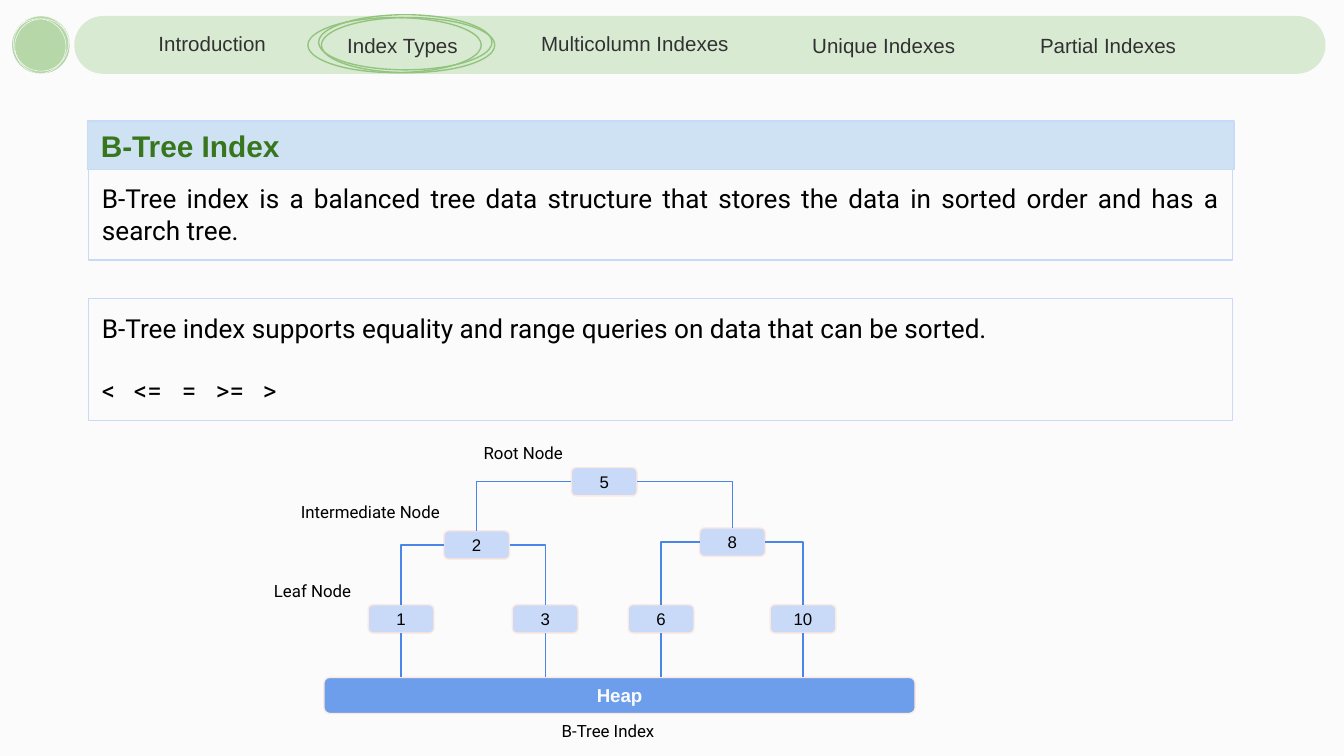
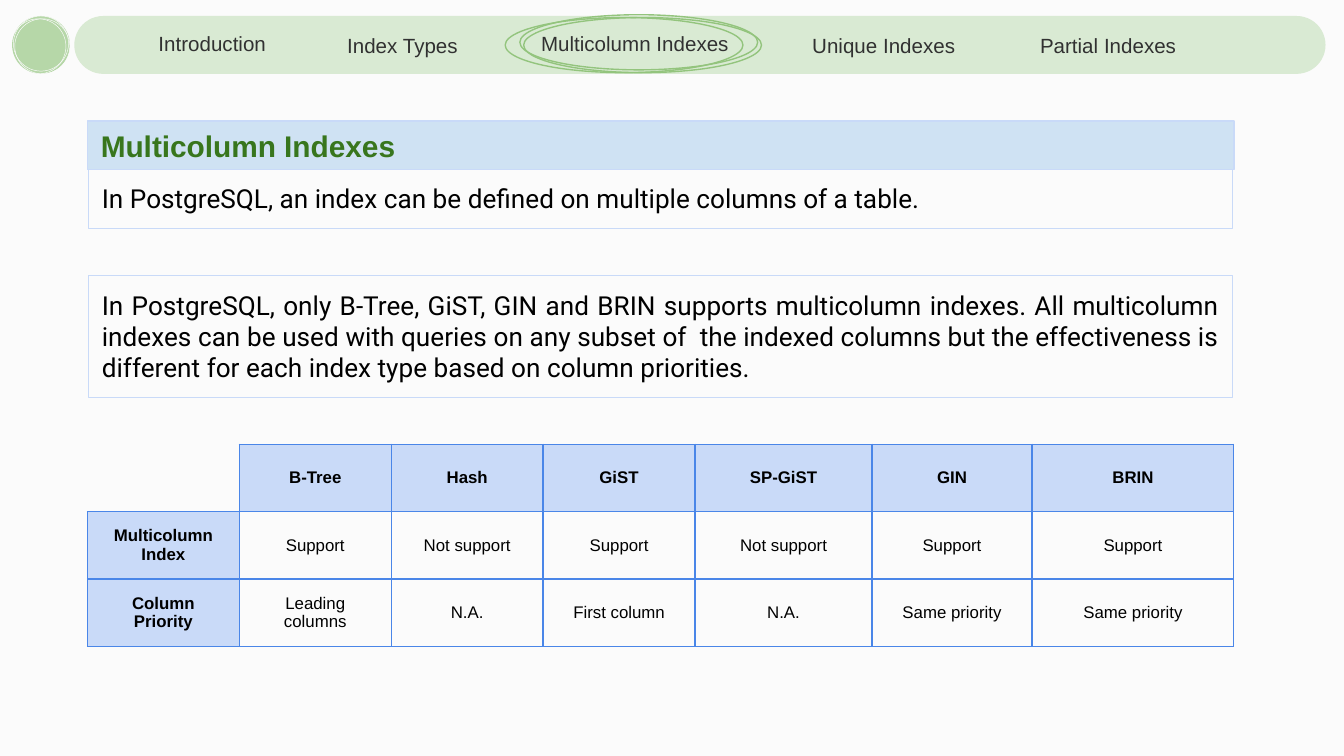
from dataclasses import dataclass

from lxml.etree import SubElement
from pptx import Presentation
from pptx.dml.color import RGBColor
from pptx.enum.shapes import MSO_CONNECTOR as Link, MSO_SHAPE as Shape
from pptx.enum.text import MSO_ANCHOR as Anchor, MSO_AUTO_SIZE as AutoSize, PP_ALIGN as Align
from pptx.oxml.ns import qn
from pptx.util import Pt


@dataclass(frozen=True)
class Theme:
    page: str = "FBFBFB"
    band: str = "D9EAD3"
    disc: str = "B6D7A8"
    ring: str = "93C47D"
    tab_ink: str = "313131"
    title_fill: str = "CFE2F3"
    title_ink: str = "38761D"
    pale_blue: str = "C9DAF8"
    line_blue: str = "4A86E8"
    heap: str = "6D9EEB"
    node_edge: str = "FDE9E1"
    ink: str = "000000"
    sans: str = "Arial"
    body_font: str = "Roboto"
    title_size: float = 16
    body_size: float = 14
    tab_size: float = 11
    heap_size: float = 10
    small_size: float = 9
    stroke: float = 0.75
    inset: float = 7.2


T = Theme()

CONTENT = (46.8, 64.8, 614.3)  # left, top, width shared by title, text and table
TITLE_HEIGHT = 25.9

# Navigation tabs: label, left, top, width, alignment
TABS = [
    ("Introduction", 77.8, 15.8, 114.5, Align.LEFT),
    ("Index Types", 169.2, 16.6, 92.9, Align.CENTER),
    ("Multicolumn Indexes", 276.5, 15.8, 127.4, Align.CENTER),
    ("Unique Indexes", 416.2, 16.6, 114.5, Align.CENTER),
    ("Partial Indexes", 536.4, 16.6, 114.5, Align.CENTER),
]

# Tree nodes: centre relative to the tree's box, then the parent key
NODES = {
    "5": (150.2, 29.1, None),
    "2": (81.9, 63, "5"),
    "8": (218.9, 61.5, "5"),
    "1": (41.4, 102.6, "2"),
    "3": (118.6, 102.6, "2"),
    "6": (180.7, 102.6, "8"),
    "10": (256.7, 102.6, "8"),
}
LEAVES = ("1", "3", "6", "10")
NODE_SIZE = (35.2, 15.2)
TREE_LABELS = [
    ("Root Node", 78.5, 0.7),
    ("Intermediate Node", -19.4, 32.4),
    ("Leaf Node", -33.8, 74.8),
    ("B-Tree Index", 120.3, 149.7),
]

SUPPORT = [
    ("", "B-Tree", "Hash", "GiST", "SP-GiST", "GIN", "BRIN"),
    ("Multicolumn Index", "Support", "Not support", "Support", "Not support", "Support", "Support"),
    ("Column Priority", "Leading columns", "N.A.", "First column", "N.A.",
     "Same priority", "Same priority"),
]
SUPPORT_WIDTHS = [81.4] * 4 + [94.8, 85.7, 108.2]
SUPPORT_ROW = 36.1


def rgb(code):
    return RGBColor.from_string(code)


def points(*lengths):
    return [Pt(length) for length in lengths]


def paint(shape, fill=None, line=None, width=T.stroke):
    shape.shadow.inherit = False
    if fill:
        shape.fill.solid()
        shape.fill.fore_color.rgb = rgb(fill)
    else:
        shape.fill.background()
    if line:
        shape.line.color.rgb = rgb(line)
        shape.line.width = Pt(width)
    else:
        shape.line.fill.background()


def draw(slide, preset, box, fill=None, line=None, width=T.stroke, corner=None):
    shape = slide.shapes.add_shape(preset, *points(*box))
    paint(shape, fill, line, width)
    if corner is not None:
        shape.adjustments[0] = corner
    return shape


def set_font(paragraph, size, color, face, bold=False, align=Align.LEFT):
    paragraph.alignment = align
    font = paragraph.font
    font.name, font.size, font.bold = face, Pt(size), bold
    font.color.rgb = rgb(color)


def set_frame(shape, anchor=Anchor.MIDDLE, vertical=0.0, right=T.inset):
    frame = shape.text_frame
    frame.word_wrap = True
    frame.auto_size = AutoSize.NONE
    frame.vertical_anchor = anchor
    frame.margin_left, frame.margin_right = points(T.inset, right)
    frame.margin_top = frame.margin_bottom = Pt(vertical)
    return frame


def write(shape, text, size, color, face, bold=False, align=Align.LEFT, **frame_options):
    paragraph = set_frame(shape, **frame_options).paragraphs[0]
    paragraph.text = text
    set_font(paragraph, size, color, face, bold, align)


def join(slide, kind, start, start_side, end_point=None, end=None):
    """Draw a tree line from a node's side to another node's top or to a point."""
    link = slide.shapes.add_connector(kind, 0, 0, *points(*(end_point or (0, 0))))
    link.begin_connect(start, start_side)
    if end is not None:
        link.end_connect(end, 0)
    link.line.color.rgb = rgb(T.line_blue)
    link.line.width = Pt(T.stroke)
    properties = link._element.spPr
    if kind == Link.ELBOW:
        properties.find(qn("a:prstGeom")).set("prst", "bentConnector2")
    SubElement(properties, qn("a:effectLst"))


def add_navigation(slide, current):
    # Green disc with three thin offset rings
    draw(slide, Shape.OVAL, (6.5, 8.6, 31, 31), T.disc)
    for left, top in ((7.2, 8.6), (5.8, 10.1), (7.9, 10.1)):
        draw(slide, Shape.OVAL, (left, top, 29.5, 29.5), line=T.page, width=0.25)

    # Band and tabs
    draw(slide, Shape.ROUNDED_RECTANGLE, (39.8, 8.6, 670.3, 31), T.band, corner=0.5)
    for label, left, top, width, align in TABS:
        tab = slide.shapes.add_textbox(*points(left, top, width, 15.1))
        write(tab, label, T.tab_size, T.tab_ink, T.sans, align=align)

    # Hand-drawn style rings around the current tab
    _, left, _, width, _ = next(tab for tab in TABS if tab[0] == current)
    for shift, top in ((0.016, 7.9), (-0.046, 9.4), (0.032, 9.4)):
        draw(slide, Shape.OVAL, (left + shift * width, top, width, 29.5), line=T.ring)


def add_title(slide, text):
    left, top, width = CONTENT
    title = slide.shapes.title
    title.left, title.top, title.width, title.height = points(left, top, width, TITLE_HEIGHT)
    paint(title, T.title_fill, T.pale_blue)
    write(title, text, T.title_size, T.title_ink, T.sans, bold=True, right=0)


def add_statement(slide, top, height, text, operators=()):
    left, _, width = CONTENT
    box = draw(slide, Shape.RECTANGLE, (left + 0.7, top, width - 1.4, height), line=T.pale_blue)
    write(box, text, T.body_size, T.ink, T.body_font, align=Align.JUSTIFY,
          anchor=Anchor.TOP, vertical=T.inset)
    if operators:
        row = box.text_frame.add_paragraph()
        row.text = "\t".join(operators)
        row.space_before = Pt(16.6)
        stops = SubElement(row._p.get_or_add_pPr(), qn("a:tabLst"))
        for stop in (17.2, 42.9, 61.1, 86.3):
            SubElement(stops, qn("a:tab"), pos=str(Pt(stop)), algn="l")
        set_font(row, T.body_size, T.ink, T.body_font)


def add_tree(slide, left, top):
    # Nodes
    width, height = NODE_SIZE
    nodes = {}
    for key, (x, y, _) in NODES.items():
        box = (left + x - width / 2, top + y - height / 2, width, height)
        nodes[key] = draw(slide, Shape.ROUNDED_RECTANGLE, box, T.pale_blue, T.node_edge,
                          corner=0.167)
        write(nodes[key], key, T.small_size, T.ink, T.sans, align=Align.CENTER)

    # Branches leave the parent's side and enter the child's top
    for key, (x, _, parent) in NODES.items():
        if parent:
            side = 1 if x < NODES[parent][0] else 3
            join(slide, Link.ELBOW, nodes[parent], side, end=nodes[key])

    # Heap under the leaves
    heap_top = top + 133.9
    heap = draw(slide, Shape.ROUNDED_RECTANGLE, (left, heap_top, 316.8, 19.4), T.heap,
                T.node_edge, corner=0.167)
    write(heap, "Heap", T.heap_size, T.page, T.sans, bold=True, align=Align.CENTER)
    for key in LEAVES:
        join(slide, Link.STRAIGHT, nodes[key], 2, end_point=(left + NODES[key][0], heap_top))

    # Level names and caption
    for label, x, y in TREE_LABELS:
        caption = slide.shapes.add_textbox(*points(left + x, top + y, 99.4, 25.2))
        write(caption, label, T.small_size, T.ink, T.body_font,
              anchor=Anchor.TOP, vertical=T.inset)


def set_borders(cell, hidden=()):
    properties = cell._tc.get_or_add_tcPr()
    for side in "LRTB":
        edge = SubElement(properties, qn(f"a:ln{side}"), w=str(Pt(T.stroke)))
        if side in hidden:
            SubElement(edge, qn("a:noFill"))
        else:
            SubElement(SubElement(edge, qn("a:solidFill")), qn("a:srgbClr"), val=T.line_blue)


def add_support_table(slide, top):
    left, _, width = CONTENT
    rows, columns = len(SUPPORT), len(SUPPORT_WIDTHS)
    table = slide.shapes.add_table(
        rows, columns, *points(left, top, width, rows * SUPPORT_ROW)).table
    table.first_row = table.horz_banding = False
    for column, column_width in zip(table.columns, SUPPORT_WIDTHS):
        column.width = Pt(column_width)
    for r, texts in enumerate(SUPPORT):
        table.rows[r].height = Pt(SUPPORT_ROW)
        for c, text in enumerate(texts):
            cell = table.cell(r, c)
            corner, heading = r == c == 0, r == 0 or c == 0
            set_borders(cell, hidden="LT" if corner else "")
            if heading and not corner:
                cell.fill.solid()
                cell.fill.fore_color.rgb = rgb(T.pale_blue)
            else:
                cell.fill.background()
            cell.vertical_anchor = Anchor.MIDDLE
            cell.margin_left = cell.margin_right = Pt(T.inset)
            cell.margin_top = cell.margin_bottom = Pt(T.inset)
            paragraph = cell.text_frame.paragraphs[0]
            paragraph.text = text
            set_font(paragraph, T.small_size, T.ink, T.sans, heading, Align.CENTER)


def start_slide(prs, title, tab):
    slide = prs.slides.add_slide(prs.slide_layouts[5])
    add_title(slide, title)
    add_navigation(slide, tab)
    return slide


def build_btree_slide(prs):
    slide = start_slide(prs, "B-Tree Index", "Index Types")
    add_statement(slide, 90.7, 48.6, "B-Tree index is a balanced tree data structure that stores "
                  "the data in sorted order and has a search tree.")
    add_statement(slide, 160, 65.4, "B-Tree index supports equality and range queries on data "
                  "that can be sorted.", operators=("<", "<=", "=", ">=", ">"))
    add_tree(slide, 173.5, 229)


def build_multicolumn_slide(prs):
    slide = start_slide(prs, "Multicolumn Indexes", "Multicolumn Indexes")
    add_statement(slide, 90.7, 31.6, "In PostgreSQL, an index can be defined on multiple columns "
                  "of a table.")
    add_statement(slide, 147.6, 65.4, "In PostgreSQL, only B-Tree, GiST, GIN and BRIN supports "
                  "multicolumn indexes. All multicolumn indexes can be used with queries on any "
                  "subset of  the indexed columns but the effectiveness is different for each "
                  "index type based on column priorities.")
    add_support_table(slide, 238)


def main():
    prs = Presentation()
    prs.slide_width, prs.slide_height = points(720, 405)
    background = prs.slide_master.background.fill
    background.solid()
    background.fore_color.rgb = rgb(T.page)
    build_btree_slide(prs)
    build_multicolumn_slide(prs)
    prs.save("out.pptx")


if __name__ == "__main__":
    main()
